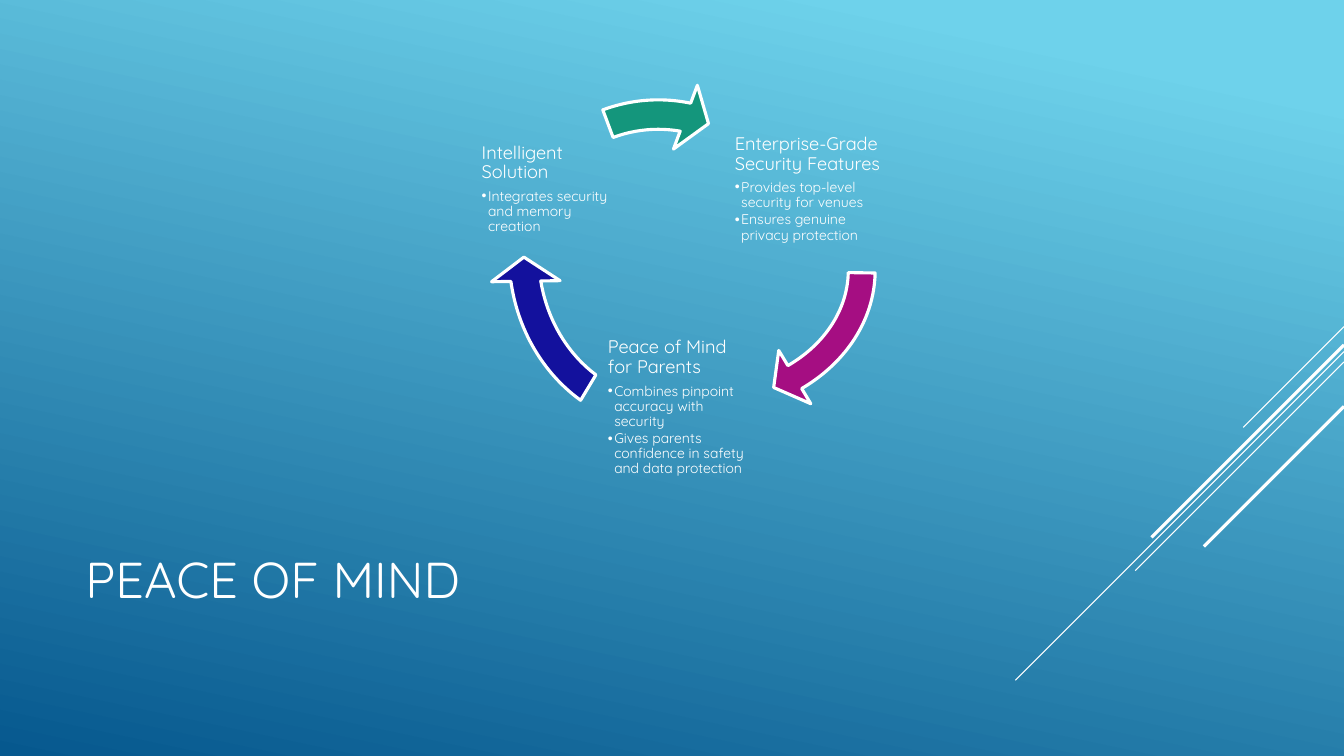
from pptx import Presentation
from pptx.dml.color import RGBColor
from pptx.enum.shapes import MSO_CONNECTOR, MSO_SHAPE
from pptx.enum.text import MSO_ANCHOR, MSO_AUTO_SIZE, PP_ALIGN
from pptx.oxml.ns import qn
from pptx.util import Cm, Pt
from lxml.etree import SubElement

WHITE = RGBColor(0xFF, 0xFF, 0xFF)
SKY = RGBColor(0x6E, 0xD2, 0xEB)
OCEAN = RGBColor(0x06, 0x58, 0x8E)
MAGENTA = RGBColor(0xA5, 0x0E, 0x82)
INDIGO = RGBColor(0x13, 0x11, 0x9D)
GREEN = RGBColor(0x14, 0x96, 0x7C)

SLIDE_WIDTH, SLIDE_HEIGHT = 33.87, 19.05
TOPIC_SIZE = 3.78

STREAKS = [
    (8.23, 2.54, 0.75),
    (8.86, 8.28, 0.75),
    (9.12, 5.26, 0.75),
    (8.69, 4.85, 2.25),
    (10.24, 3.53, 2.25),
]

TOPICS = [
    (18.47, 2.87, "Enterprise-Grade Security Features",
     ["Provides top-level security for venues", "Ensures genuine privacy protection"]),
    (15.27, 8.38, "Peace of Mind for Parents",
     ["Combines pinpoint accuracy with security",
      "Gives parents confidence in safety and data protection"]),
    (12.09, 2.87, "Intelligent Solution", ["Integrates security and memory creation"]),
]

ARROWS = [
    ((12.95, 2.74, 9.55, 8.15), 49.39, 0.87, MAGENTA),
    ((12.34, 1.55, 8.99, 9.75), 169.53, 121.01, INDIGO),
    ((12.12, 2.03, 8.94, 8.94), 280.93, 249.46, GREEN),
]


class CyclePage:
    font = "Quicksand"
    ink = WHITE
    degree = 0.6

    def __init__(self, page):
        self.page = page

    def background(self, start, end):
        fill = self.page.background.fill
        fill.gradient()
        fill.gradient_angle = 258
        for stop, color, position in zip(fill.gradient_stops, (start, end), (0.1, 1)):
            stop.color.rgb = color
            stop.position = position

    def streak(self, top, length, weight):
        line = self.page.shapes.add_connector(
            MSO_CONNECTOR.STRAIGHT, Cm(SLIDE_WIDTH), Cm(top),
            Cm(SLIDE_WIDTH - length), Cm(top + length))
        line.line.color.rgb = self.ink
        line.line.width = Pt(weight)
        SubElement(line._element.spPr, qn("a:effectLst"))

    def place(self, box, left, top, width, height):
        box.left, box.top, box.width, box.height = Cm(left), Cm(top), Cm(width), Cm(height)
        frame = box.text_frame
        frame.word_wrap = True
        frame.auto_size = MSO_AUTO_SIZE.NONE
        frame.vertical_anchor = MSO_ANCHOR.MIDDLE
        return frame

    def format(self, para, size):
        para.alignment = PP_ALIGN.LEFT
        for span in para.runs:
            span.font.name = self.font
            span.font.size = Pt(size)
            span.font.bold = False
            span.font.color.rgb = self.ink

    def title(self, text):
        frame = self.place(self.page.shapes.title, 1.9, 12.47, 23.7, 4.19)
        frame.text = text
        self.format(frame.paragraphs[0], 36)

    def topic(self, box, left, top, heading, points):
        frame = self.place(box, left, top, TOPIC_SIZE, TOPIC_SIZE)
        frame.margin_left = frame.margin_right = Cm(0.05)
        frame.margin_top = frame.margin_bottom = Cm(0.05)
        frame.text = "\n".join([heading, *points])
        for number, para in enumerate(frame.paragraphs):
            is_point = number > 0
            self.format(para, 10 if is_point else 13)
            para.level = int(is_point)
            para.line_spacing = 0.9
            para.space_before = Pt(0)
            para.space_after = Pt(1.5 if is_point else 4.55)
            self.bullet(para, "•" if is_point else None)

    def bullet(self, para, mark):
        properties = para._p.get_or_add_pPr()
        indent = Cm(0.16) if mark else 0
        properties.set("marL", str(indent))
        properties.set("indent", str(-indent))
        if mark:
            SubElement(properties, qn("a:buChar")).set("char", mark)
        else:
            SubElement(properties, qn("a:buNone"))

    def arrow(self, bounds, end, start, color):
        shape = self.page.shapes.add_shape(
            MSO_SHAPE.CIRCULAR_ARROW, *[Cm(length) for length in bounds])
        angles = [9.6 * self.degree, end * self.degree, start * self.degree]
        for number, value in enumerate([0.083, *angles, 0.096]):
            shape.adjustments[number] = value
        shape.shadow.inherit = False
        shape.fill.solid()
        shape.fill.fore_color.rgb = color
        shape.line.color.rgb = self.ink
        shape.line.width = Pt(2.25)


def main():
    deck = Presentation()
    deck.slide_width, deck.slide_height = Cm(SLIDE_WIDTH), Cm(SLIDE_HEIGHT)
    page = deck.slides.add_slide(deck.slide_layouts.get_by_name("Comparison"))
    cycle = CyclePage(page)
    cycle.background(SKY, OCEAN)
    for streak in STREAKS:
        cycle.streak(*streak)
    cycle.title("PEACE OF MIND")
    bodies = list(page.placeholders)[1:]
    for box, topic in zip(bodies, TOPICS):
        cycle.topic(box, *topic)
    for box in bodies[len(TOPICS):]:
        box._element.getparent().remove(box._element)
    for arrow in ARROWS:
        cycle.arrow(*arrow)
    deck.save("out.pptx")


if __name__ == "__main__":
    main()
